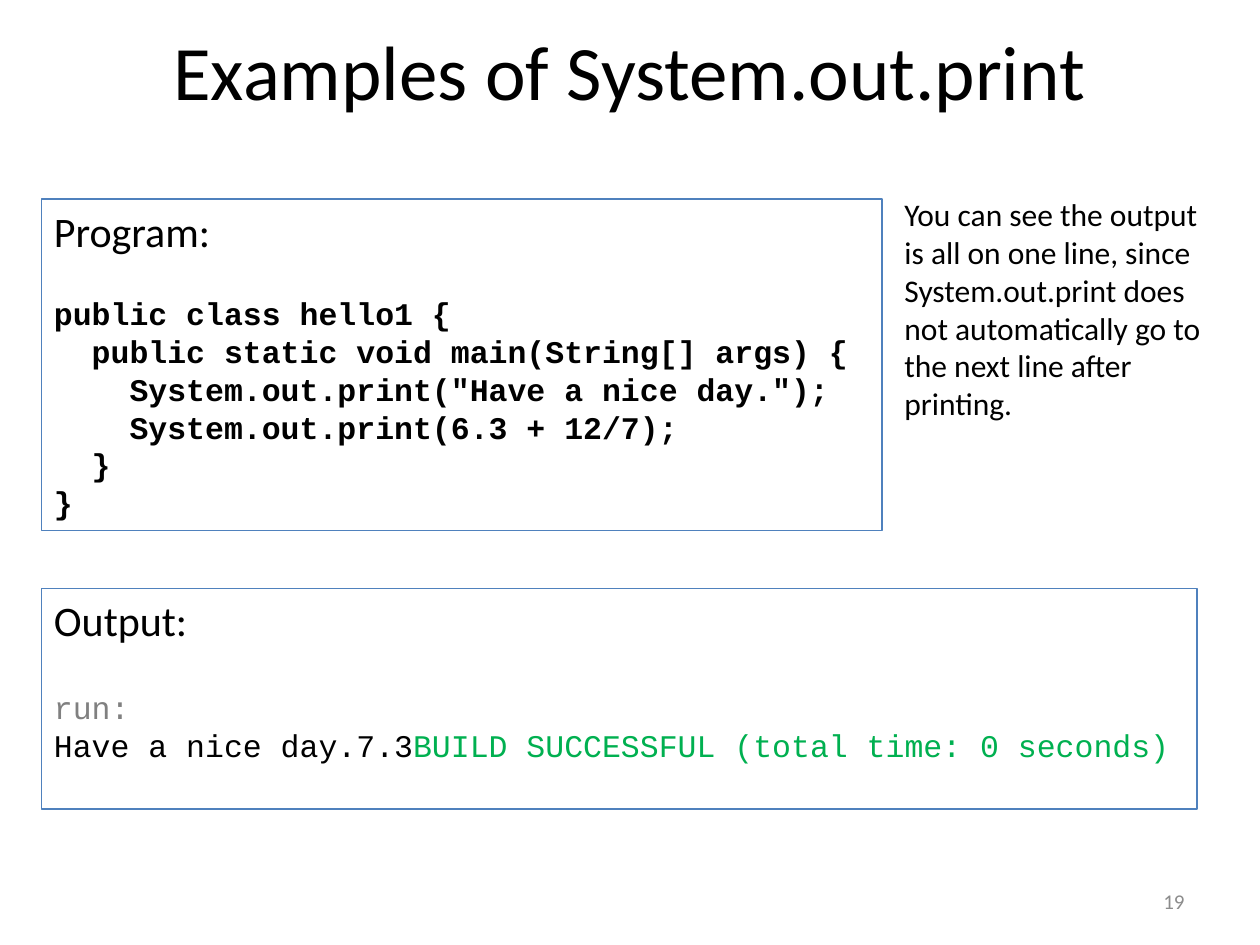
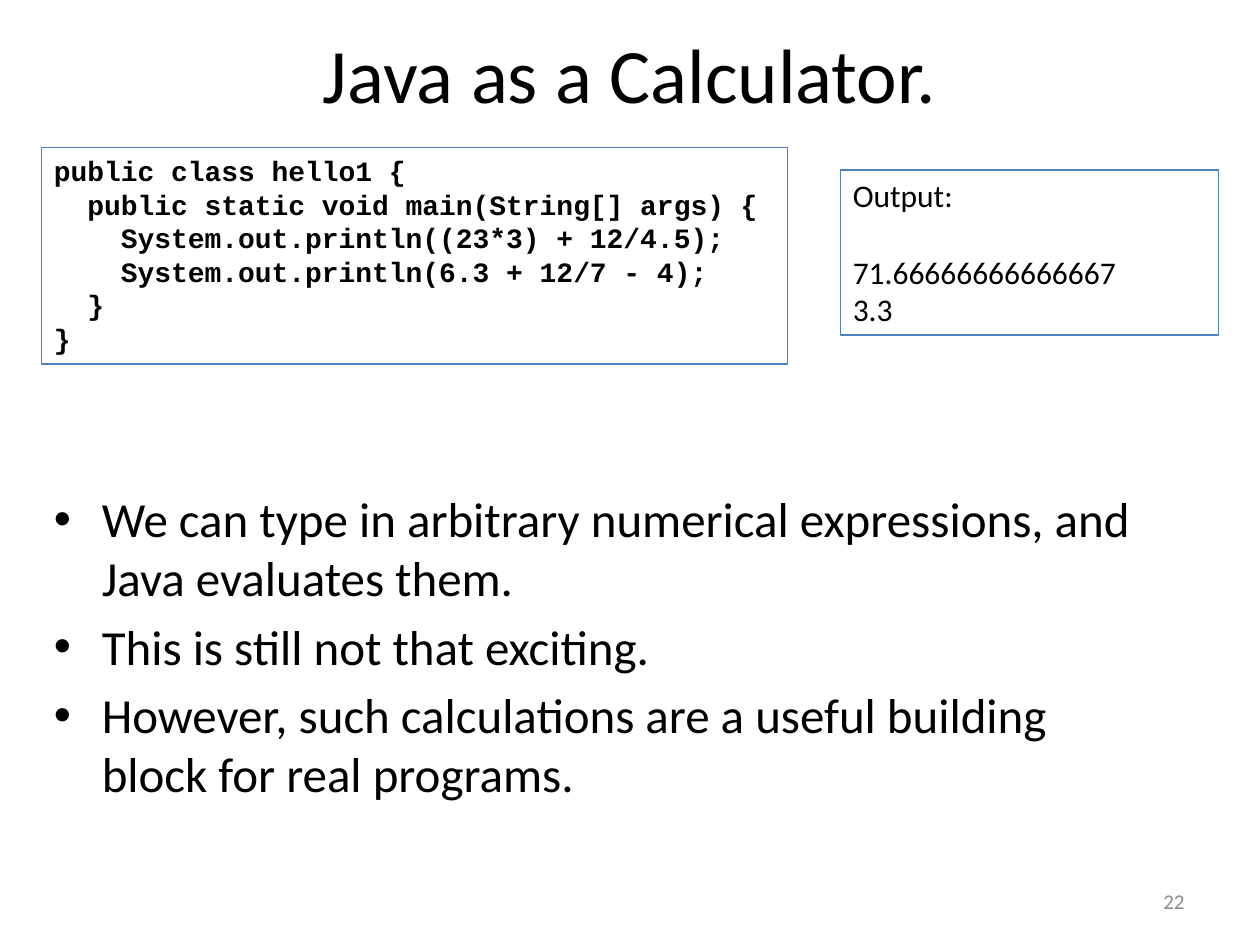
from dataclasses import dataclass

from lxml.etree import SubElement
from pptx import Presentation
from pptx.dml.color import RGBColor
from pptx.enum.shapes import MSO_SHAPE
from pptx.enum.text import MSO_ANCHOR, PP_ALIGN
from pptx.oxml.ns import qn
from pptx.util import Inches, Pt

SANS, MONO = "Calibri", "Courier New"
BLACK, GRAY, PALE, GREEN, BLUE = "000000", "808080", "8C8C8C", "00B050", "4F81BD"
LEFT = 0.33


def color(value):
    """Turn a hex string into a colour."""
    return RGBColor.from_string(value)


@dataclass
class Line:
    """One paragraph: its (text, colour) spans and its style."""
    spans: list
    size: float = 18
    font: str = SANS
    bold: bool = False
    before: float = 0
    bullet: bool = False


def plain(text, size=18, ink=BLACK, **style):
    """Make a paragraph in a single colour."""
    return Line([(text, ink)], size, **style)


def code(source, size, before=0):
    """Make one bold monospaced paragraph for each source line."""
    return [plain(row, size, font=MONO, bold=True, before=0 if index else before)
            for index, row in enumerate(source.splitlines())]


def program(*statements):
    """Wrap statements in the demo class."""
    body = "\n".join("    " + statement for statement in statements)
    return ("public class hello1 {\n  public static void main(String[] args) {\n"
            + body + "\n  }\n}")


class Lecture:
    """Holds the deck, its style and the current slide."""

    def __init__(self):
        """Start a 10 by 7.5 inch deck."""
        self.deck = Presentation()
        self.deck.slide_width, self.deck.slide_height = Inches(10), Inches(7.5)
        self.page = None

    def start(self, title, number, title_height):
        """Add a slide with its title and page number."""
        self.page = self.deck.slides.add_slide(self.deck.slide_layouts[6])
        self.text((0.5, 0.08, 9, title_height), [plain(title, 44)],
                  PP_ALIGN.CENTER, MSO_ANCHOR.MIDDLE)
        self.text((7.17, 6.95, 2.33, 0.4), [plain(str(number), 12, PALE)],
                  PP_ALIGN.RIGHT, MSO_ANCHOR.MIDDLE)

    def text(self, at, lines, align=PP_ALIGN.LEFT, anchor=MSO_ANCHOR.TOP):
        """Add an unframed text box."""
        box = self.page.shapes.add_textbox(*map(Inches, at))
        self.fill_text(box, lines, align, anchor)

    def panel(self, at, lines):
        """Add a rectangle with a thin blue outline."""
        box = self.page.shapes.add_shape(MSO_SHAPE.RECTANGLE, *map(Inches, at))
        box.shadow.inherit = False
        box.fill.background()
        box.line.color.rgb = color(BLUE)
        box.line.width = Pt(0.75)
        self.fill_text(box, lines, PP_ALIGN.LEFT, MSO_ANCHOR.TOP)

    def bullets(self, at, items, size):
        """Add a bulleted list spaced by a fifth of its text size."""
        self.text(at, [plain(item, size, bullet=True, before=0.2 * size if index else 0)
                       for index, item in enumerate(items)])

    def fill_text(self, box, lines, align, anchor):
        """Fill a shape with styled paragraphs."""
        frame = box.text_frame
        frame.word_wrap = True
        frame.vertical_anchor = anchor
        for index, line in enumerate(lines):
            para = frame.paragraphs[0] if index == 0 else frame.add_paragraph()
            para.alignment = align
            para.space_before = Pt(line.before)
            if line.bullet:
                self.mark(para)
            para.font.name, para.font.size = line.font, Pt(line.size)
            para.font.bold = line.bold
            shared = len(line.spans) == 1
            for words, ink in line.spans:
                span = para.add_run()
                span.text = words
                target = para if shared else span
                target.font.color.rgb = color(ink)

    def mark(self, para):
        """Give a paragraph a hanging round bullet."""
        properties = para._p.get_or_add_pPr()
        properties.set("marL", str(Inches(0.38)))
        properties.set("indent", str(-Inches(0.38)))
        SubElement(properties, qn("a:buFont")).set("typeface", "Arial")
        SubElement(properties, qn("a:buChar")).set("char", "•")


def print_slide(lecture):
    """Build the slide on System.out.print."""
    lecture.start("Examples of System.out.print", 19, 0.95)
    source = program('System.out.print("Have a nice day.");',
                     "System.out.print(6.3 + 12/7);")
    lecture.panel((LEFT, 1.58, 6.67, 2.63),
                  [plain("Program:", 24), *code(source, 18, before=22)])
    lecture.panel((LEFT, 4.67, 9.17, 1.75), [
        plain("Output:", 24),
        plain("run:", ink=GRAY, font=MONO, before=24.4),
        Line([("Have a nice day.7.3", BLACK),
              ("BUILD SUCCESSFUL (total time: 0 seconds)", GREEN)], font=MONO),
    ])
    lecture.text((7.08, 1.5, 2.67, 1.92), [plain(
        "You can see the output is all on one line, since System.out.print does "
        "not automatically go to the next line after printing.")])


def calculator_slide(lecture):
    """Build the slide on arithmetic."""
    lecture.start("Java as a Calculator.", 22, 1)
    lecture.bullets((LEFT, 3.83, 9, 3.33), [
        "We can type in arbitrary numerical expressions, and Java evaluates them.",
        "This is still not that exciting.",
        "However, such calculations are a useful building block for real programs.",
    ], 28)
    source = program("System.out.println((23*3) + 12/4.5);",
                     "System.out.println(6.3 + 12/7 - 4);")
    lecture.panel((LEFT, 1.17, 5.92, 1.72), code(source, 16))
    lecture.panel((6.67, 1.35, 3, 1.31), [
        plain("Output:"), plain("71.66666666666667", before=22), plain("3.3")])


def main():
    """Build and save the deck."""
    lecture = Lecture()
    print_slide(lecture)
    calculator_slide(lecture)
    lecture.deck.save("out.pptx")


if __name__ == "__main__":
    main()
